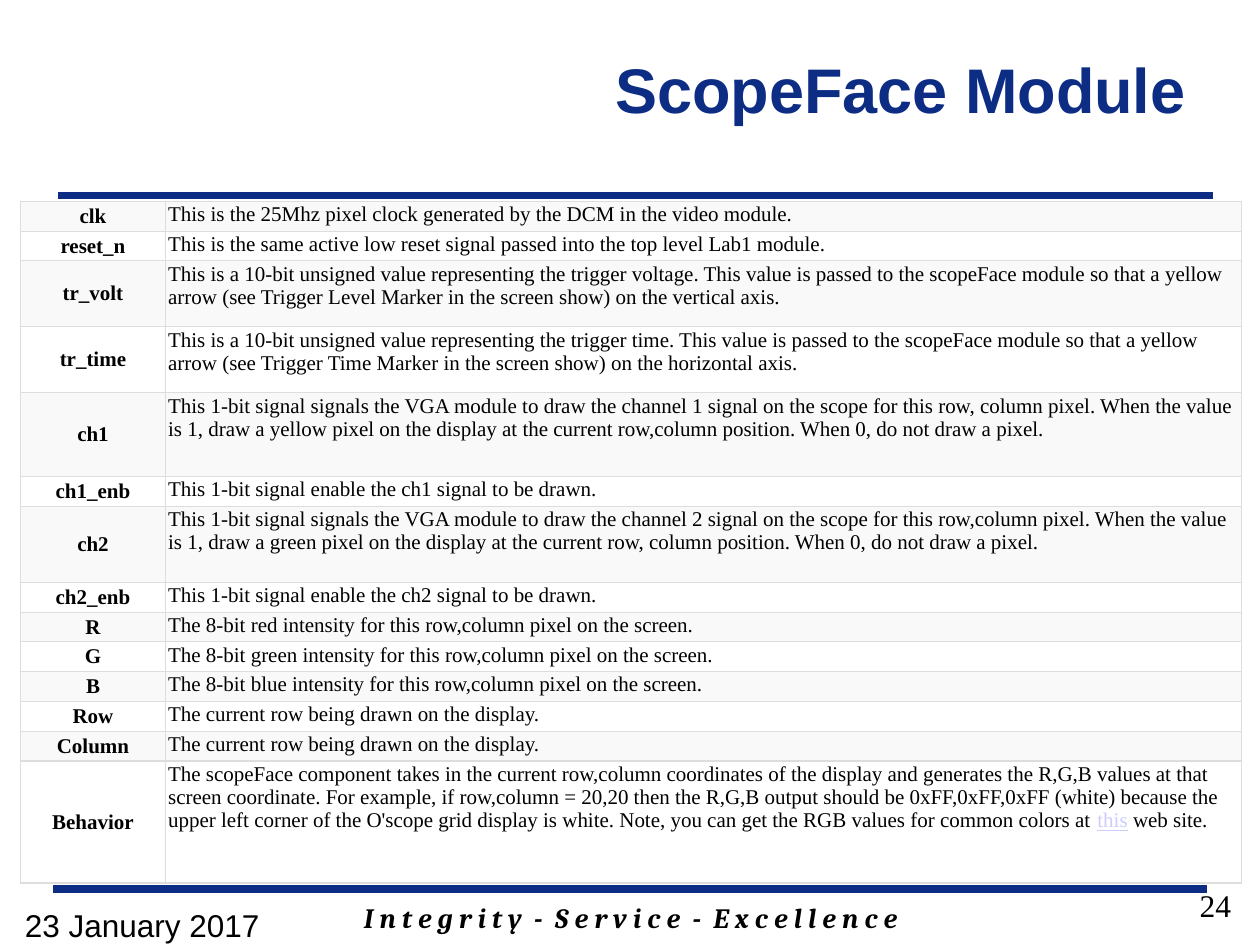
from dataclasses import dataclass

from lxml import etree
from pptx import Presentation
from pptx.dml.color import RGBColor
from pptx.enum import shapes, text
from pptx.oxml import ns
from pptx.util import Cm, Pt


@dataclass(frozen=True)
class Theme:
    navy: str = "0C2D83"
    ink: str = "000000"
    link: str = "CCCCFF"
    border: str = "DDDDDD"
    bands: tuple = ("F9F9F9", "FFFFFF")
    title: int = 36
    footer: int = 18
    motto: int = 16
    body: int = 12
    sans: str = "Arial"
    serif: str = "Times New Roman"
    motto_font: str = "Cambria"


T = Theme()

# Row height in cm, signal name, description as (text, format) runs
ROWS = [
    (0.6, "clk", "This is the 25Mhz pixel clock generated by the DCM in the video module."),
    (0.6, "reset_n", "This is the same active low reset signal passed into the top level Lab1 module."),
    (1.33, "tr_volt", "This is a 10-bit unsigned value representing the trigger voltage. This value is "
     "passed to the scopeFace module so that a yellow arrow (see Trigger Level Marker in the "
     "screen show) on the vertical axis."),
    (1.33, "tr_time", "This is a 10-bit unsigned value representing the trigger time. This value is "
     "passed to the scopeFace module so that a yellow arrow (see Trigger Time Marker in the "
     "screen show) on the horizontal axis."),
    (1.69, "ch1", "This 1-bit signal signals the VGA module to draw the channel 1 signal on the scope "
     "for this row, column pixel. When the value is 1, draw a yellow pixel on the display at the "
     "current row,column position. When 0, do not draw a pixel."),
    (0.6, "ch1_enb", "This 1-bit signal enable the ch1 signal to be drawn."),
    (1.53, "ch2", "This 1-bit signal signals the VGA module to draw the channel 2 signal on the scope "
     "for this row,column pixel. When the value is 1, draw a green pixel on the display at the "
     "current row, column position. When 0, do not draw a pixel."),
    (0.6, "ch2_enb", "This 1-bit signal enable the ch2 signal to be drawn."),
    (0.6, "R", "The 8-bit red intensity for this row,column pixel on the screen."),
    (0.6, "G", "The 8-bit green intensity for this row,column pixel on the screen."),
    (0.6, "B", "The 8-bit blue intensity for this row,column pixel on the screen."),
    (0.6, "Row", "The current row being drawn on the display."),
    (0.6, "Column", "The current row being drawn on the display."),
    (2.46, "Behavior", "The scopeFace component takes in the current row,column coordinates of the "
     "display and generates the R,G,B values at that screen coordinate. For example, if row,column "
     "= 20,20 then the R,G,B output should be 0xFF,0xFF,0xFF (white) because the upper left corner "
     "of the O'scope grid display is white. Note, you can get the RGB values for common colors at "),
]
LINK_RUNS = [("this", {"color": T.link, "underline": True}), (" web site.", {})]


def add_run(p, words, color=T.ink, **fmt):
    r = p.add_run()
    r.text = words
    r.font.color.rgb = RGBColor.from_string(color)
    for name, value in fmt.items():
        setattr(r.font, name, value)


def place(sp, left, top, width, height):
    sp.left, sp.top, sp.width, sp.height = Cm(left), Cm(top), Cm(width), Cm(height)


def add_title(s, words):
    sp = s.shapes.title
    place(sp, 5.31, 0.2, 18.85, 3.18)
    tf = sp.text_frame
    tf.word_wrap = True
    tf.vertical_anchor = text.MSO_ANCHOR.MIDDLE
    p = tf.paragraphs[0]
    p.alignment = text.PP_ALIGN.RIGHT
    add_run(p, words, T.navy, size=Pt(T.title), name=T.sans, bold=True)


def add_rule(s, left, right, y):
    line = s.shapes.add_connector(shapes.MSO_CONNECTOR.STRAIGHT, Cm(left), Cm(y), Cm(right), Cm(y))
    line.line.color.rgb = RGBColor.from_string(T.navy)
    line.line.width = Pt(4.5)
    etree.SubElement(line._element.spPr, ns.qn("a:effectLst"))


def add_text(s, box, words, align, top_inset=0.13, **fmt):
    tf = s.shapes.add_textbox(*map(Cm, box)).text_frame
    tf.word_wrap = True
    tf.margin_top = Cm(top_inset)
    tf.margin_bottom = 0
    p = tf.paragraphs[0]
    p.alignment = align
    add_run(p, words, **fmt)


def add_borders(cell):
    tc_pr = cell._tc.get_or_add_tcPr()
    for side in ("lnL", "lnR", "lnT", "lnB"):
        ln = etree.SubElement(tc_pr, ns.qn(f"a:{side}"), w=str(Pt(0.75)))
        fill = etree.SubElement(ln, ns.qn("a:solidFill"))
        etree.SubElement(fill, ns.qn("a:srgbClr"), val=T.border)


def fill_cell(cell, runs, band, anchor, align, bold):
    add_borders(cell)
    cell.fill.solid()
    cell.fill.fore_color.rgb = RGBColor.from_string(band)
    cell.vertical_anchor = anchor
    cell.margin_left = cell.margin_right = Cm(0.05)
    cell.margin_top = cell.margin_bottom = Cm(0.03)
    p = cell.text_frame.paragraphs[0]
    p.alignment = align
    for words, fmt in runs:
        add_run(p, words, size=Pt(T.body), name=T.serif, bold=bold, **fmt)


def add_signal_table(s):
    widths = (2.93, 21.68)
    height = sum(row[0] for row in ROWS)
    tbl = s.shapes.add_table(len(ROWS), 2, Cm(0.41), Cm(4.06), Cm(sum(widths)), Cm(height)).table
    tbl.first_row = tbl.horz_banding = False
    for col, width in zip(tbl.columns, widths):
        col.width = Cm(width)
    for i, (row_height, signal, description) in enumerate(ROWS):
        tbl.rows[i].height = Cm(row_height)
        band = T.bands[i % 2]
        runs = [(description, {})] + (LINK_RUNS if signal == "Behavior" else [])
        fill_cell(tbl.cell(i, 0), [(signal, {})], band,
                  text.MSO_ANCHOR.MIDDLE, text.PP_ALIGN.CENTER, True)
        fill_cell(tbl.cell(i, 1), runs, band, text.MSO_ANCHOR.TOP, text.PP_ALIGN.LEFT, False)


def main():
    prs = Presentation()
    prs.slide_width, prs.slide_height = Cm(25.4), Cm(19.05)
    s = prs.slides.add_slide(prs.slide_layouts[5])

    # Frame: rules, motto and title
    add_rule(s, 1.07, 24.33, 17.93)
    add_rule(s, 1.17, 24.46, 3.94)
    add_text(s, (3.61, 18.03, 18.21, 0.94),
             "I n t e g r i t y  -  S e r v i c e  -  E x c e l l e n c e", text.PP_ALIGN.CENTER,
             size=Pt(T.motto), name=T.motto_font, bold=True, italic=True)
    add_title(s, "ScopeFace Module")

    # Signal descriptions
    add_signal_table(s)

    # Page number and date
    add_text(s, (19.15, 17.73, 5.92, 1.32), "24", text.PP_ALIGN.RIGHT,
             size=Pt(T.footer), name=T.serif)
    add_text(s, (0.25, 17.4, 5.92, 1.32), "23 January 2017", text.PP_ALIGN.LEFT, top_inset=0.95,
             size=Pt(T.footer), name=T.sans)

    prs.save("out.pptx")


if __name__ == "__main__":
    main()
